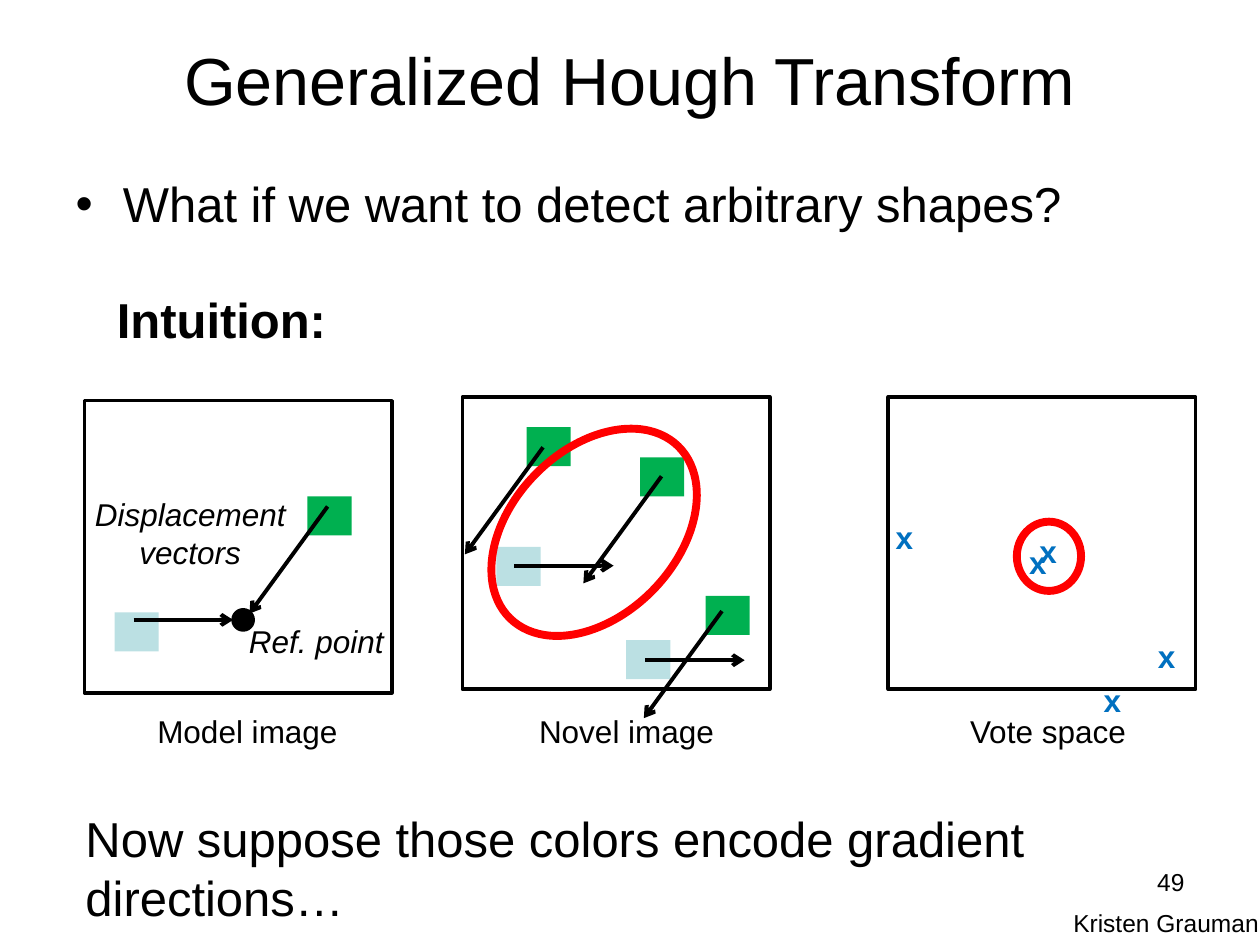
from lxml import etree
from pptx import Presentation, util as u
from pptx.dml.color import RGBColor
from pptx.enum import shapes, text
from pptx.oxml.ns import qn

# Content
TITLE = "Generalized Hough Transform"
QUESTION = "What if we want to detect arbitrary shapes?"
BLACK, RED, BLUE, GREEN, TEAL = "000000", "FF0000", "0070C0", "00B050", "BBE0E3"
PANEL_SIZE, PATCH_SIZE = (2.44, 2.32), (0.35, 0.31)
CAPTION_TOP = 5.6

# Panel: left, top, caption, caption left, caption width
PANELS = [
    (0.67, 3.18, "Model image", 1.15, 1.65),
    (3.67, 3.15, "Novel image", 4.18, 1.6),
    (7.05, 3.15, "Vote space", 7.6, 1.45),
]
# Each patch colour has one displacement to the reference point
DISPLACEMENT = {GREEN: (-0.62, 0.85), TEAL: (0.79, 0)}
# Patch: colour, left and top, start of its vector
PATCHES = [
    (TEAL, (0.91, 4.86), (1.06, 4.92)),
    (GREEN, (2.44, 3.94), (2.6, 4.02)),
    (GREEN, (4.18, 3.39), (4.31, 3.55)),
    (GREEN, (5.08, 3.63), (5.25, 3.78)),
    (TEAL, (3.94, 4.34), (4.08, 4.49)),
    (TEAL, (4.97, 5.08), (5.12, 5.24)),
    (GREEN, (5.6, 4.73), (5.73, 4.85)),
]
VOTES = [(8.07, 4.26), (8.15, 4.17), (7.01, 4.06), (8.66, 5.36), (9.09, 5.01)]
# Ring: left, top, width, height, rotation
RINGS = [(8.07, 4.14, 0.51, 0.55, 0), (4.06, 3.27, 1.31, 1.91, 44.3)]
# Label: text, box, format
LABELS = [
    ("Now suppose those colors encode gradient directions…", (0.58, 6.37, 9.41, 1.04), {"size": 28}),
    ("Intuition:", (0.83, 2.25, 2.2, 0.57), {"size": 28, "bold": True}),
    ("Ref. point", (1.6, 4.89, 1.82, 0.4), {"italic": True, "align": "CENTER"}),
    ("Displacement vectors", (0.6, 3.88, 1.82, 0.71), {"italic": True, "align": "CENTER"}),
    ("Kristen Grauman", (8.42, 7.16, 2, 0.34), {"size": 14}),
    ("49", (7.17, 6.83, 2.33, 0.52), {"size": 14, "align": "RIGHT"}),
]

presentation = Presentation()
presentation.slide_width, presentation.slide_height = u.Inches(10), u.Inches(7.5)
slide = presentation.slides.add_slide(presentation.slide_layouts[1])


def color(value):
    return RGBColor.from_string(value)


def inches(*lengths):
    return [u.Inches(length) for length in lengths]


def write(shape, words, size=18, fill=BLACK, bold=False, italic=False,
          align="LEFT", anchor="TOP", wrap=True):
    frame = shape.text_frame
    frame.word_wrap = wrap
    frame.auto_size = text.MSO_AUTO_SIZE.NONE
    frame.vertical_anchor = getattr(text.MSO_ANCHOR, anchor)
    paragraph = frame.paragraphs[0]
    paragraph.alignment = getattr(text.PP_ALIGN, align)
    paragraph.space_before = u.Pt(0)
    run = paragraph.add_run()
    run.text = words
    font = run.font
    font.name, font.size, font.bold, font.italic = "Arial", u.Pt(size), bold, italic
    font.color.rgb = color(fill)


def label(words, box, **style):
    write(slide.shapes.add_textbox(*inches(*box)), words, **style)


def place(placeholder, words, box, **style):
    placeholder.left, placeholder.top, placeholder.width, placeholder.height = inches(*box)
    write(placeholder, words, **style)


def draw(kind, box, fill=None, line=None, width=2, rotation=0):
    shape = slide.shapes.add_shape(getattr(shapes.MSO_SHAPE, kind), *inches(*box))
    shape.shadow.inherit = False
    shape.rotation = rotation
    if fill:
        shape.fill.solid()
        shape.fill.fore_color.rgb = color(fill)
    else:
        shape.fill.background()
    if line:
        shape.line.color.rgb = color(line)
        shape.line.width = u.Pt(width)
    else:
        shape.line.fill.background()


def arrow(start, shift):
    end = [a + b for a, b in zip(start, shift)]
    connector = slide.shapes.add_connector(
        shapes.MSO_CONNECTOR.STRAIGHT, *inches(*start, *end))
    connector.line.color.rgb = color(BLACK)
    connector.line.width = u.Pt(2.25)
    etree.SubElement(connector.line._get_or_add_ln(), qn("a:tailEnd"), type="arrow")
    etree.SubElement(connector._element.spPr, qn("a:effectLst"))


# Title and question
place(slide.shapes.title, TITLE, (0, 0, 10, 1.25), size=38, align="CENTER", anchor="MIDDLE")
place(slide.placeholders[1], QUESTION, (0.5, 1.33, 9, 0.87), size=28)

# Panels with captions
for left, top, caption, caption_left, caption_width in PANELS:
    draw("RECTANGLE", (left, top, *PANEL_SIZE), line=BLACK)
    label(caption, (caption_left, CAPTION_TOP, caption_width, 0.4), wrap=False)

# Patches, reference point and displacement vectors
for fill, corner, _ in PATCHES:
    draw("RECTANGLE", (*corner, *PATCH_SIZE), fill=fill)
draw("OVAL", (1.85, 4.84, 0.16, 0.16), fill=BLACK, line=BLACK)
for fill, _, start in PATCHES:
    arrow(start, DISPLACEMENT[fill])

# Votes and the rings around the detected shape
for vote in VOTES:
    label("x", (*vote, 0.98, 0.4), fill=BLUE, bold=True)
for *box, rotation in RINGS:
    draw("OVAL", box, line=RED, width=4.5, rotation=rotation)

# Labels and footer
for words, box, style in LABELS:
    label(words, box, **style)

presentation.save("out.pptx")
